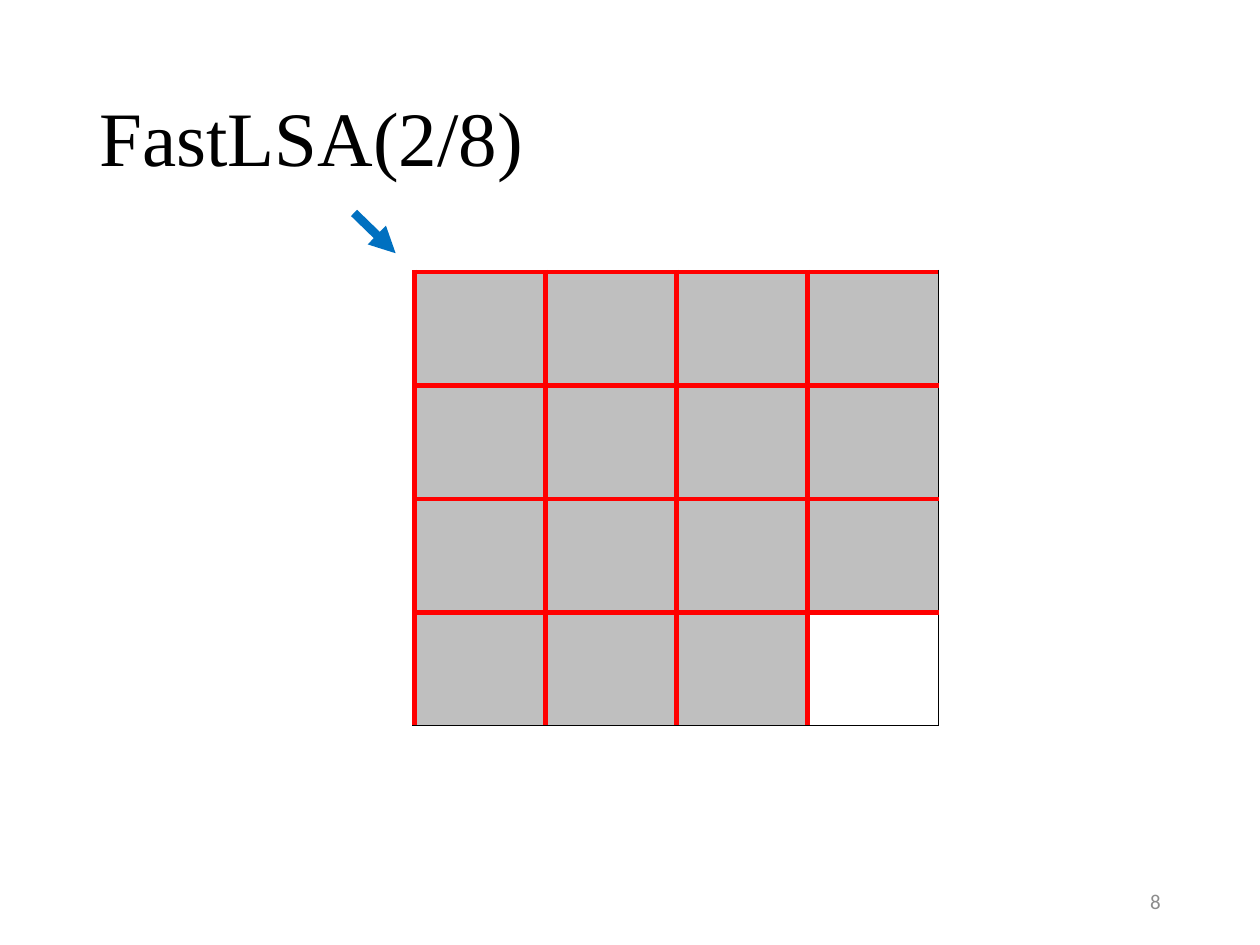
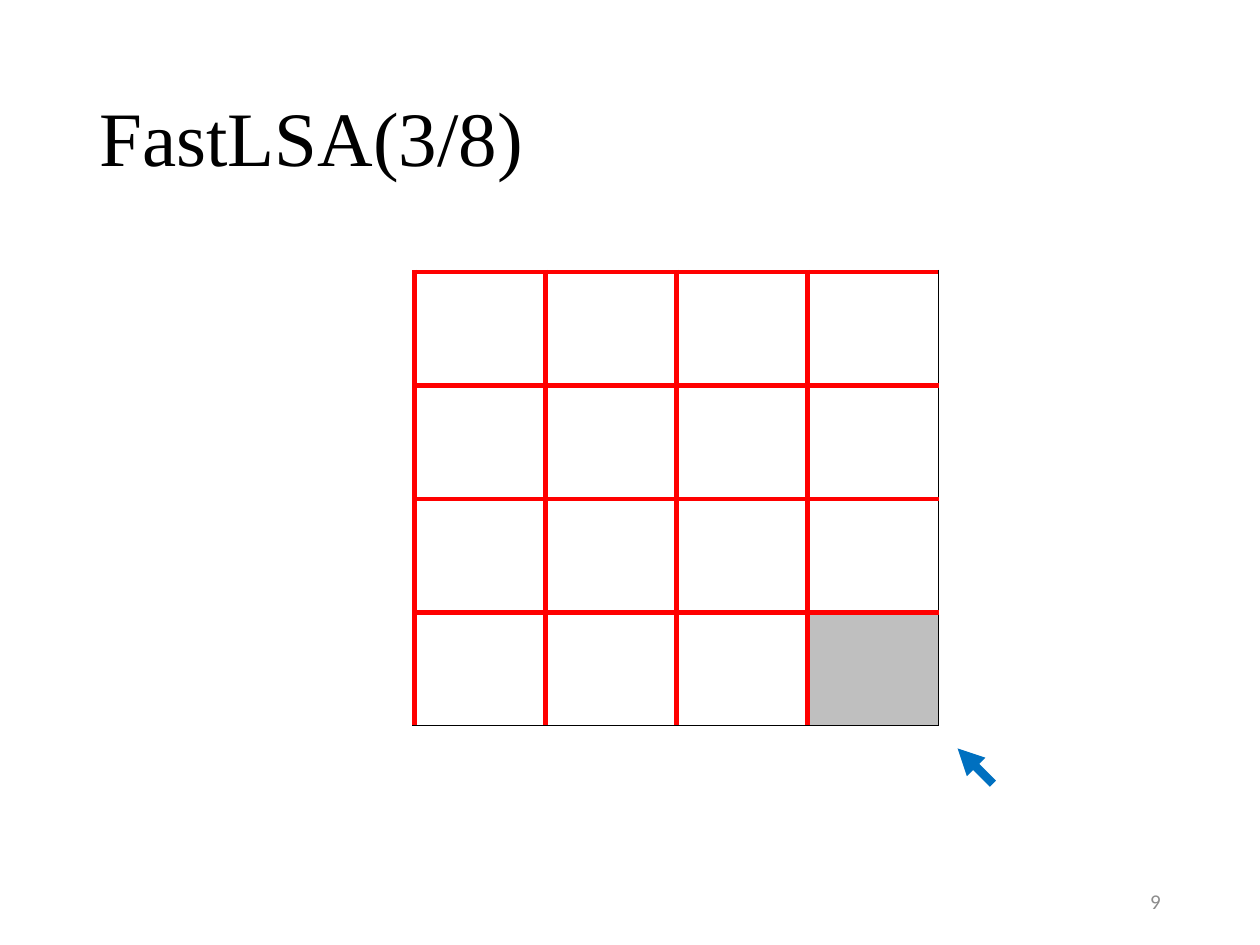
from lxml import etree
from pptx import Presentation
from pptx import util as u
from pptx.dml.color import RGBColor
from pptx.enum import shapes, text
from pptx.oxml.ns import qn

RED, BLACK, GREY, BLUE, NUMBER_GREY = "FF0000", "000000", "BFBFBF", "0070C0", "8C8C8C"
GRID_SIZE = 4
CELL_WIDTH, CELL_HEIGHT = 1.04, 0.9


def colour(value):
    return RGBColor.from_string(value)


def style_paragraph(para, font_name, size, font_colour, align):
    para.alignment = align
    para.font.name = font_name
    para.font.size = u.Pt(size)
    para.font.color.rgb = colour(font_colour)


def place(shape, left, top, width, height):
    shape.left, shape.top = u.Inches(left), u.Inches(top)
    shape.width, shape.height = u.Inches(width), u.Inches(height)


def add_title(page, words):
    title = page.shapes.title
    place(title, 0.69, 0.4, 8.62, 1.45)
    frame = title.text_frame
    frame.text = words
    frame.vertical_anchor = text.MSO_ANCHOR.MIDDLE
    para = frame.paragraphs[0]
    para.line_spacing = 0.9
    style_paragraph(para, "Times New Roman", 44, BLACK, text.PP_ALIGN.LEFT)


def add_page_number(page, number):
    box = page.shapes.add_textbox(
        u.Inches(7.06), u.Inches(6.95), u.Inches(2.25), u.Inches(0.4))
    frame = box.text_frame
    frame.word_wrap = True
    frame.vertical_anchor = text.MSO_ANCHOR.MIDDLE
    frame.text = str(number)
    style_paragraph(frame.paragraphs[0], "Calibri", 12, NUMBER_GREY, text.PP_ALIGN.RIGHT)


def set_border(cell, side, line_colour, width):
    properties = cell._tc.get_or_add_tcPr()
    line = etree.SubElement(properties, qn(f"a:ln{side}"), w=str(u.Pt(width)))
    fill = etree.SubElement(line, qn("a:solidFill"))
    etree.SubElement(fill, qn("a:srgbClr"), val=line_colour)


def add_grid(page, is_shaded):
    """Red grid, with thin black edges at the right and the bottom."""
    frame = page.shapes.add_table(
        GRID_SIZE, GRID_SIZE, u.Inches(3.29), u.Inches(2.16),
        u.Inches(GRID_SIZE * CELL_WIDTH), u.Inches(GRID_SIZE * CELL_HEIGHT))
    table = frame.table
    table.first_row = table.horz_banding = False
    last = GRID_SIZE - 1
    for row in range(GRID_SIZE):
        for column in range(GRID_SIZE):
            cell = table.cell(row, column)
            outer_sides = {"R": column == last, "B": row == last}
            for side in "LRTB":
                outer = outer_sides.get(side, False)
                set_border(cell, side, *((BLACK, 1) if outer else (RED, 3)))
            if is_shaded(row, column):
                cell.fill.solid()
                cell.fill.fore_color.rgb = colour(GREY)
            else:
                cell.fill.background()


def add_arrow(page, start, end):
    arrow = page.shapes.add_connector(
        shapes.MSO_CONNECTOR.STRAIGHT, *(u.Inches(value) for value in start + end))
    arrow.line.color.rgb = colour(BLUE)
    arrow.line.width = u.Pt(5)
    etree.SubElement(arrow.line._get_or_add_ln(), qn("a:tailEnd"), type="triangle")
    etree.SubElement(arrow._element.spPr, qn("a:effectLst"))


def add_step(deck, step, number, is_shaded, start, end):
    page = deck.slides.add_slide(deck.slide_layouts[5])
    add_title(page, f"FastLSA({step}/8)")
    add_page_number(page, number)
    add_grid(page, is_shaded)
    add_arrow(page, start, end)


def is_last_cell(row, column):
    return row == column == GRID_SIZE - 1


def main():
    deck = Presentation()
    deck.slide_width, deck.slide_height = u.Inches(10), u.Inches(7.5)

    # Forward step: every block but the last is filled
    add_step(deck, 2, 8, lambda row, column: not is_last_cell(row, column),
             (2.81, 1.69), (3.14, 2.01))
    # Backward step: only the last block is filled
    add_step(deck, 3, 9, is_last_cell, (7.88, 6.22), (7.6, 5.94))

    deck.save("out.pptx")


if __name__ == "__main__":
    main()
